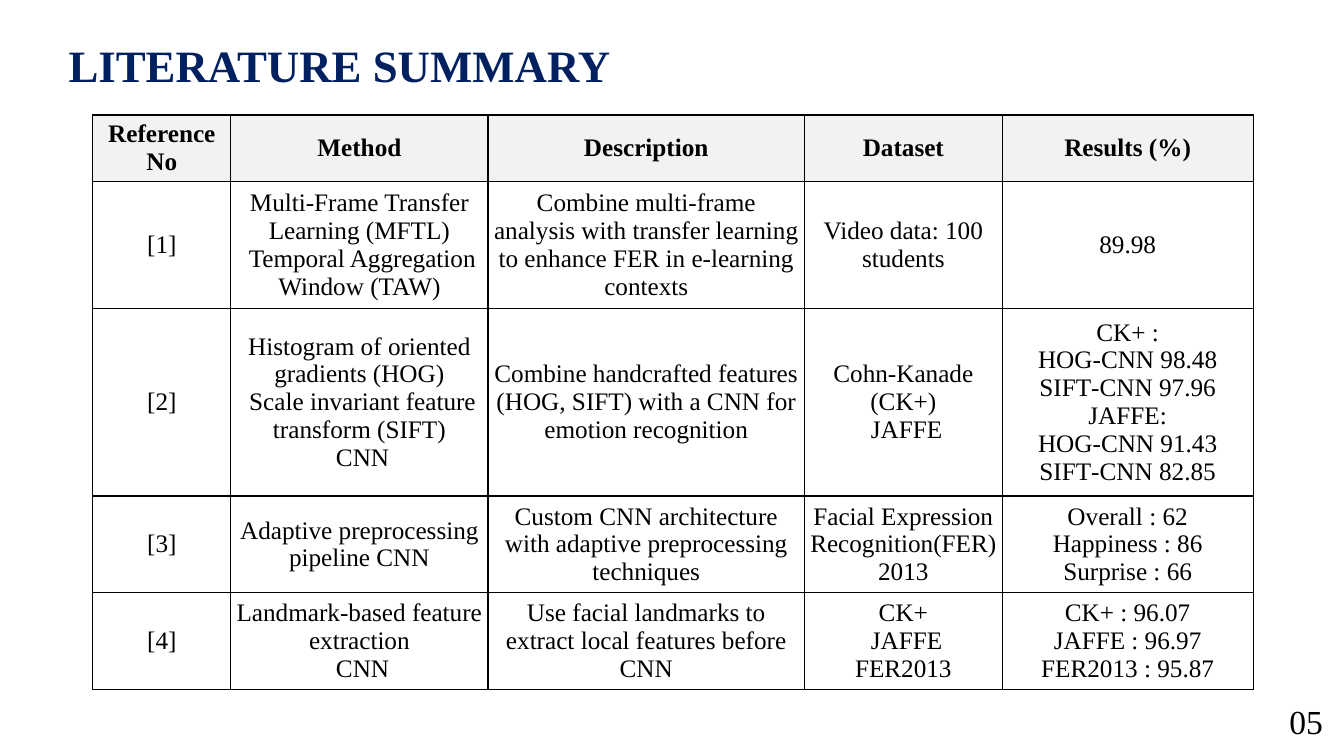
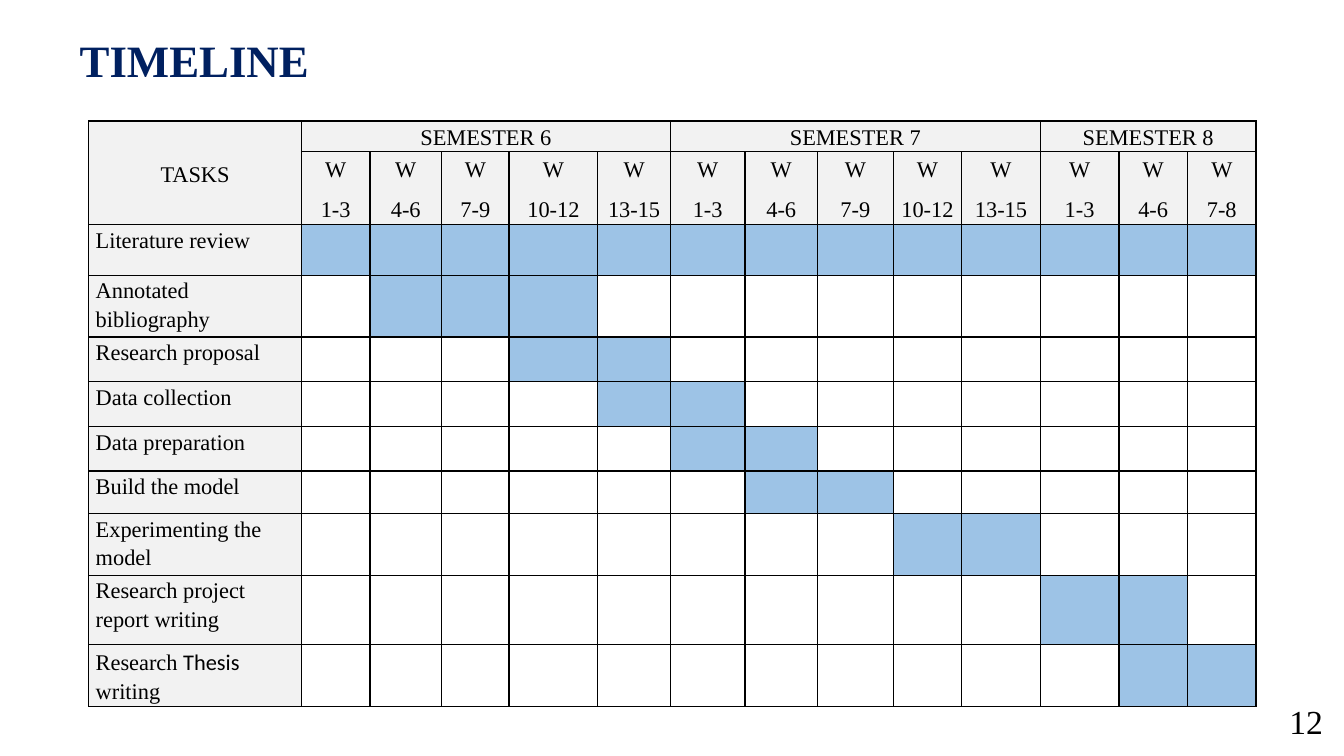
from lxml import etree
from pptx import Presentation
from pptx.dml.color import RGBColor
from pptx.enum import text as t
from pptx.oxml import ns
from pptx.util import Inches, Pt

# Shared look
FONT = "Times New Roman"
NAVY, BLACK, GREY, BLUE = "002060", "000000", "F2F2F2", "9DC3E6"
MID, TOP = t.MSO_ANCHOR.MIDDLE, t.MSO_ANCHOR.TOP
LEFT, MIDDLE, RIGHT = t.PP_ALIGN.LEFT, t.PP_ALIGN.CENTER, t.PP_ALIGN.RIGHT

# Literature table
HEADS = ["Reference No", "Method", "Description", "Dataset", "Results (%)"]
PAPERS = [
    ["[1]",
     "Multi‑Frame Transfer Learning (MFTL)\n Temporal Aggregation Window (TAW)",
     "Combine multi‑frame analysis with transfer learning to enhance FER in e‑learning contexts",
     "Video data: 100 students",
     "89.98"],
    ["[2]",
     "Histogram of oriented gradients (HOG)\n Scale invariant feature transform (SIFT)\n CNN",
     "Combine handcrafted features (HOG, SIFT) with a CNN for emotion recognition",
     "Cohn-Kanade (CK+)\n JAFFE",
     "CK+ :\vHOG‑CNN 98.48\vSIFT‑CNN 97.96\vJAFFE:\vHOG‑CNN 91.43\vSIFT‑CNN 82.85"],
    ["[3]",
     "Adaptive preprocessing pipeline CNN",
     "Custom CNN architecture with adaptive preprocessing techniques",
     "Facial Expression Recognition(FER) 2013",
     "Overall : 62\nHappiness : 86\nSurprise : 66"],
    ["[4]",
     "Landmark‑based feature extraction\n CNN",
     "Use facial landmarks to extract local features before CNN",
     "CK+\n JAFFE\nFER2013",
     "CK+ : 96.07\nJAFFE : 96.97\nFER2013 : 95.87"],
]

# Timeline: semester with its weeks; task with first and last busy column
TERMS = ["1-3", "4-6", "7-9", "10-12", "13-15"]
SEMESTERS = [("SEMESTER 6", TERMS), ("SEMESTER 7", TERMS),
             ("SEMESTER 8", ["1-3", "4-6", "7-8"])]
TASKS = [
    ("Literature review", 1, 13),
    ("Annotated bibliography", 2, 4),
    ("Research proposal", 4, 5),
    ("Data collection", 5, 6),
    ("Data preparation", 6, 7),
    ("Build the model", 7, 8),
    ("Experimenting the model", 9, 10),
    ("Research project report writing", 11, 12),
    ("Research Thesis writing", 12, 13),
]


def color(code):
    return RGBColor.from_string(code)


def style(par, size, code=BLACK, bold=False, align=LEFT, line=1.0, after=0):
    font = par.font
    font.name, font.size, font.bold = FONT, Pt(size), bold
    font.color.rgb = color(code)
    par.alignment, par.line_spacing = align, line
    par.space_before, par.space_after = Pt(0), Pt(after)


def add_slide(deck, title, box, page):
    """Add a slide with its title and page number."""
    slide = deck.slides.add_slide(deck.slide_layouts[5])
    head = slide.shapes.title
    head.left, head.top, head.width, head.height = map(Inches, box)
    head.text_frame.text = title
    head.text_frame.vertical_anchor = MID
    style(head.text_frame.paragraphs[0], 32, NAVY, True, line=0.9)

    foot = slide.shapes.add_textbox(*map(Inches, (12.18, 6.95, 1.04, 0.55)))
    foot.text_frame.word_wrap = True
    foot.text_frame.text = page
    style(foot.text_frame.paragraphs[0], 24, align=RIGHT, line=0.9)
    return slide


def add_grid(slide, left, top, widths, heights):
    """Add a plain table with the given columns and rows."""
    grid = slide.shapes.add_table(
        len(heights), len(widths), Inches(left), Inches(top),
        Inches(sum(widths)), Inches(sum(heights))).table
    grid.first_row = grid.horz_banding = False
    for col, width in zip(grid.columns, widths):
        col.width = Inches(width)
    for row, height in zip(grid.rows, heights):
        row.height = Inches(height)
    for cell in grid.iter_cells():
        border(cell)
        cell.fill.background()
    return grid


def border(cell):
    props = cell._tc.get_or_add_tcPr()
    for side in ("a:lnL", "a:lnR", "a:lnT", "a:lnB"):
        line = etree.SubElement(props, ns.qn(side), w=str(Pt(1)))
        fill = etree.SubElement(line, ns.qn("a:solidFill"))
        etree.SubElement(fill, ns.qn("a:srgbClr"), val=BLACK)


def shade(cell, code):
    cell.fill.solid()
    cell.fill.fore_color.rgb = color(code)


def write(cell, words, size, pads, anchor=MID, **look):
    cell.text = words
    cell.vertical_anchor = anchor
    cell.margin_left = cell.margin_right = Inches(pads[0])
    cell.margin_top = cell.margin_bottom = Inches(pads[1])
    for par in cell.text_frame.paragraphs:
        style(par, size, **look)


def add_papers(slide):
    grid = add_grid(slide, 0.92, 1.14, [1.37, 2.55, 3.14, 1.96, 2.49],
                    [0.65, 1.25, 1.72, 0.95, 0.95])
    for r, row in enumerate([HEADS] + PAPERS):
        for c, words in enumerate(row):
            cell = grid.cell(r, c)
            write(cell, words, 18, (0.05, 0.03), bold=r == 0, align=MIDDLE)
            if r == 0:
                shade(cell, GREY)


def add_plan(slide):
    widths = [2.11, 0.68, 0.71, 0.67, 0.88, 0.72, 0.74,
              0.72, 0.75, 0.68, 0.78, 0.78, 0.68, 0.68]
    heights = [0.29, 0.67, 0.5, 0.57, 0.44, 0.45, 0.44, 0.42, 0.57, 0.69, 0.59]
    grid = add_grid(slide, 0.88, 1.2, widths, heights)

    def label(r, c, words, **look):
        shade(grid.cell(r, c), GREY)
        write(grid.cell(r, c), words, 16, (0.07, 0), line=1.15, after=8, **look)

    # Heading rows
    grid.cell(0, 0).merge(grid.cell(1, 0))
    label(0, 0, "TASKS", align=MIDDLE)
    col = 1
    for name, weeks in SEMESTERS:
        grid.cell(0, col).merge(grid.cell(0, col + len(weeks) - 1))
        label(0, col, name, align=MIDDLE)
        for c, week in enumerate(weeks, col):
            label(1, c, "W\n" + week, align=MIDDLE)
        col += len(weeks)

    # Task rows
    for r, (task, first, last) in enumerate(TASKS, 2):
        label(r, 0, task, anchor=TOP)
        for c in range(first, last + 1):
            shade(grid.cell(r, c), BLUE)

    # One word of the last task has its own font
    par = grid.cell(len(TASKS) + 1, 0).text_frame.paragraphs[0]
    before, word, after = par.runs[0].text.partition("Thesis")
    par.runs[0].text = before
    for part in (word, after):
        par.add_run().text = part
    par.runs[1].font.name = "Calibri"


def main():
    deck = Presentation()
    deck.slide_width, deck.slide_height = Inches(13.33), Inches(7.5)
    add_papers(add_slide(deck, "LITERATURE SUMMARY", (0.58, 0.32, 11.5, 0.7), "05"))
    add_plan(add_slide(deck, "TIMELINE", (0.69, 0.15, 11.5, 0.94), "12"))
    deck.save("out.pptx")


if __name__ == "__main__":
    main()
